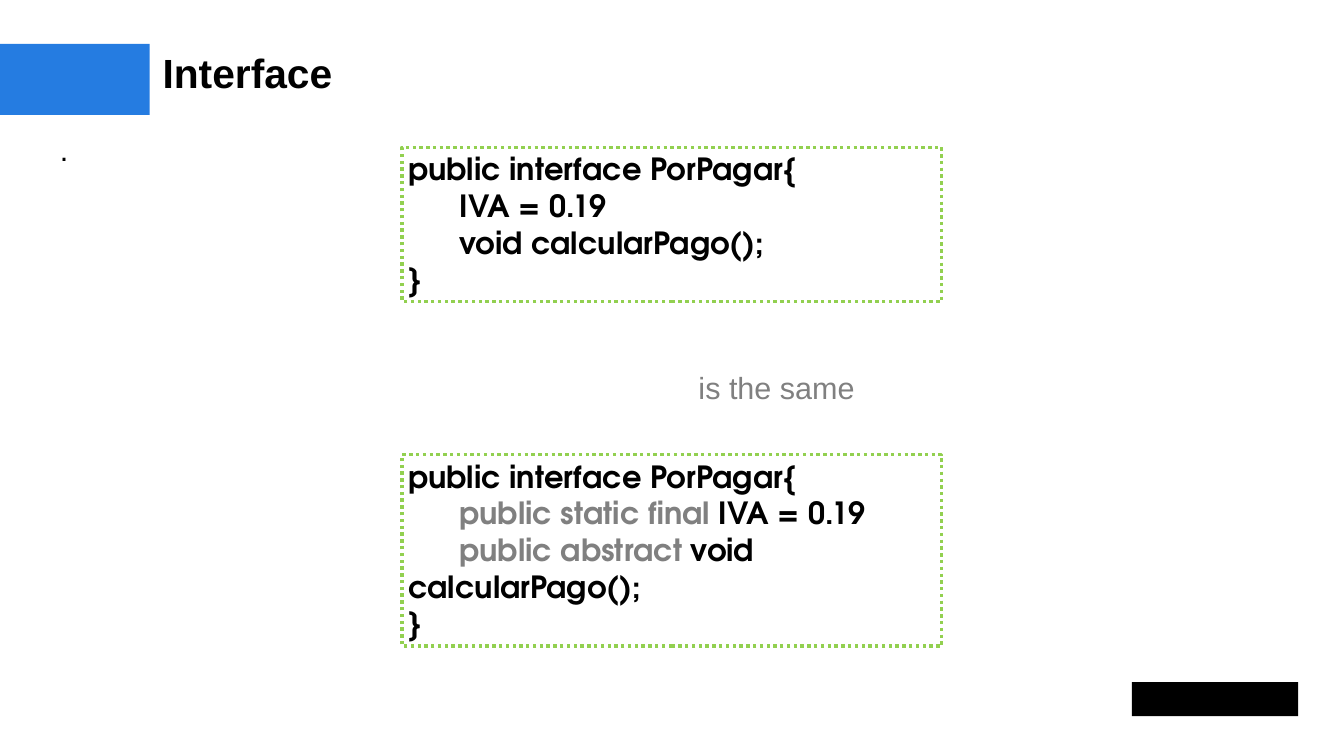
from dataclasses import dataclass

from pptx import Presentation
from pptx.dml.color import RGBColor
from pptx.enum.dml import MSO_LINE
from pptx.enum.shapes import MSO_SHAPE
from pptx.enum.text import MSO_ANCHOR, PP_ALIGN
from pptx.util import Inches, Pt


@dataclass(frozen=True)
class Theme:
    ink: RGBColor = RGBColor(0x00, 0x00, 0x00)
    muted: RGBColor = RGBColor(0x80, 0x80, 0x80)
    band: RGBColor = RGBColor(0x25, 0x7C, 0xE1)
    frame: RGBColor = RGBColor(0x92, 0xD0, 0x50)
    text_font: str = "Arial"
    code_font: str = "TeX Gyre Adventor"
    title_size: Pt = Pt(48)
    body_size: Pt = Pt(36)
    frame_width: Pt = Pt(4)


THEME = Theme()
INDENT = "      "

# Each code line is a list of (text, colour) runs
SHORT_CODE = [
    [("public interface PorPagar{", THEME.ink)],
    [(INDENT + "IVA = 0.19", THEME.ink)],
    [(INDENT + "void calcularPago();", THEME.ink)],
    [("}", THEME.ink)],
]
FULL_CODE = [
    [("public interface PorPagar{", THEME.ink)],
    [(INDENT + "public static final", THEME.muted), (" IVA = 0.19", THEME.ink)],
    [(INDENT + "public abstract ", THEME.muted), ("void calcularPago();", THEME.ink)],
    [("}", THEME.ink)],
]


def add_rectangle(slide, left, top, width, height):
    shape = slide.shapes.add_shape(
        MSO_SHAPE.RECTANGLE, Inches(left), Inches(top), Inches(width), Inches(height))
    shape.shadow.inherit = False
    return shape


def add_solid(slide, color, left, top, width, height):
    shape = add_rectangle(slide, left, top, width, height)
    shape.fill.solid()
    shape.fill.fore_color.rgb = color
    shape.line.fill.background()


def add_text(slide, text, left, top, width, height, size, color, bold=False):
    text_box = slide.shapes.add_textbox(
        Inches(left), Inches(top), Inches(width), Inches(height))
    frame = text_box.text_frame
    frame.word_wrap = True
    paragraph = frame.paragraphs[0]
    paragraph.text = text
    paragraph.font.name = THEME.text_font
    paragraph.font.size = size
    paragraph.font.bold = bold
    paragraph.font.color.rgb = color
    return frame


def add_header(slide, left, top, width, height):
    # Blue band at the slide edge
    band_width = 2.45
    add_solid(slide, THEME.band, left, top, band_width, height)

    # Title beside the band
    title_offset = band_width + 0.21
    frame = add_text(slide, "Interface", left + title_offset, top + 0.06,
                     width - title_offset, 0.81, THEME.title_size, THEME.ink, bold=True)
    frame.margin_left = frame.margin_right = frame.margin_top = frame.margin_bottom = 0


def add_code_box(slide, code, left, top, width, height):
    # Dotted frame
    box = add_rectangle(slide, left, top, width, height)
    box.fill.background()
    box.line.color.rgb = THEME.frame
    box.line.width = THEME.frame_width
    box.line.dash_style = MSO_LINE.ROUND_DOT

    # Code lines
    frame = box.text_frame
    frame.word_wrap = True
    frame.vertical_anchor = MSO_ANCHOR.TOP
    for index, line in enumerate(code):
        paragraph = frame.add_paragraph() if index else frame.paragraphs[0]
        paragraph.alignment = PP_ALIGN.LEFT
        paragraph.font.name = THEME.code_font
        paragraph.font.size = THEME.body_size
        paragraph.font.bold = True
        for text, color in line:
            run = paragraph.add_run()
            run.text = text
            run.font.color.rgb = color


def add_comparison(slide, left, top, width):
    add_code_box(slide, SHORT_CODE, left, top, width, 2.52)
    add_text(slide, "is the same", left + 4.75, top + 3.58, 3.08, 0.68,
             THEME.body_size, THEME.muted)
    add_code_box(slide, FULL_CODE, left, top + 5.03, width, 3.13)


def main():
    presentation = Presentation()
    presentation.slide_width = Inches(21.99)
    presentation.slide_height = Inches(12.37)
    slide = presentation.slides.add_slide(presentation.slide_layouts[6])

    add_header(slide, 0, 0.72, 21.24, 1.16)
    add_text(slide, ".", 0.88, 2.1, 1, 0.68, THEME.body_size, THEME.ink)
    add_comparison(slide, 6.58, 2.41, 8.83)

    # Plain block in the footer corner
    add_solid(slide, THEME.ink, 18.52, 11.16, 2.72, 0.56)

    presentation.save("out.pptx")


if __name__ == "__main__":
    main()
